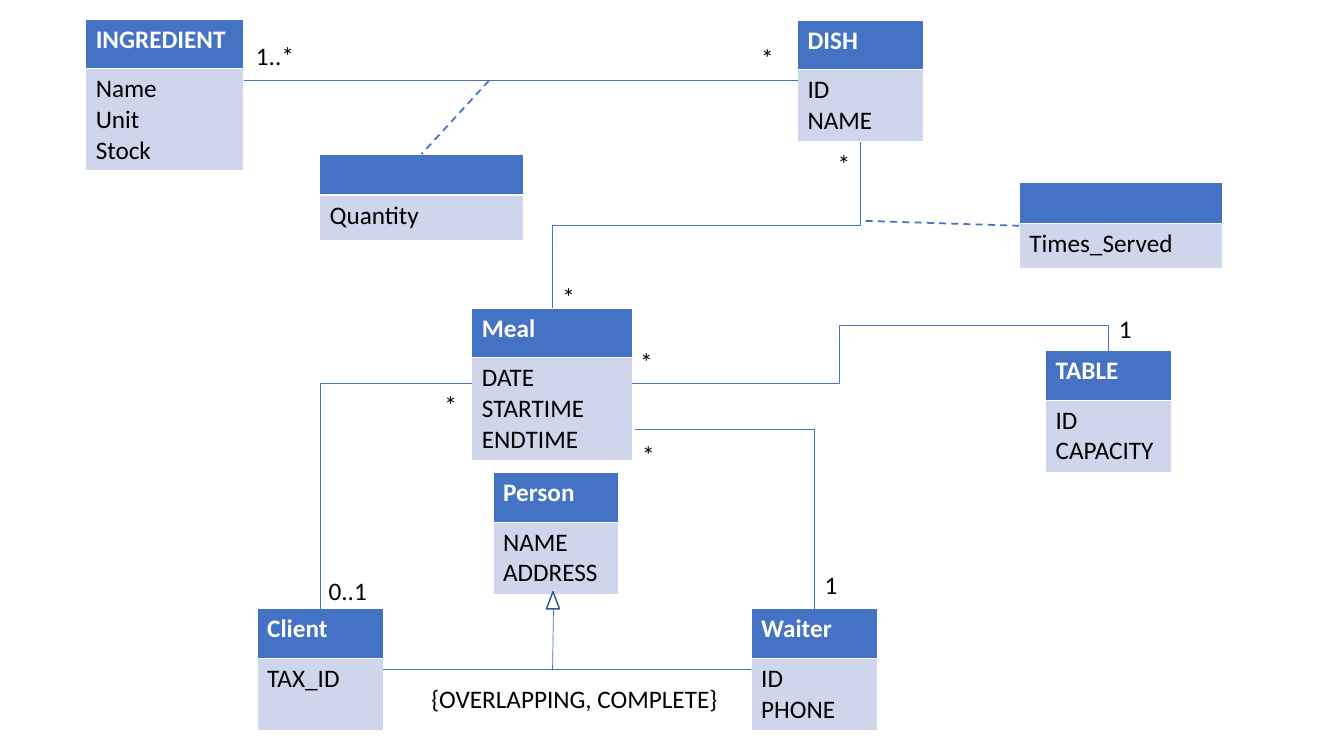
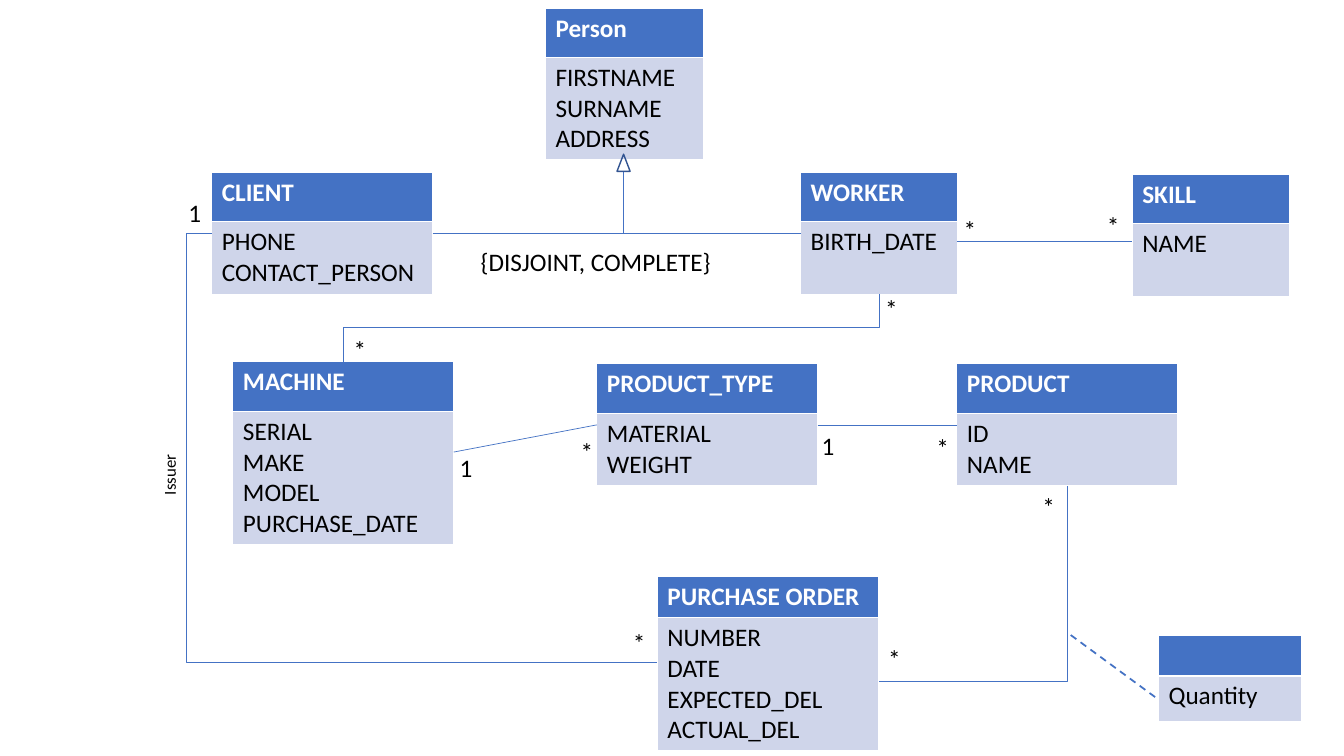
from enum import IntEnum

from lxml import etree
from pptx import Presentation
from pptx.dml.color import RGBColor
from pptx.enum.dml import MSO_LINE
from pptx.enum.shapes import MSO_CONNECTOR, MSO_SHAPE
from pptx.enum.text import MSO_AUTO_SIZE
from pptx.oxml.ns import qn
from pptx.util import Inches, Pt

COLORS = {
    "header": "4472C4",
    "body": "CFD5EA",
    "line": "4472C4",
    "triangle": "325491",
    "text": "000000",
    "header_text": "FFFFFF",
}
FONT = "Calibri"
HEADER_HEIGHT = 0.49
SLIM_HEADER = 0.4


class Side(IntEnum):
    """Connection sites of a table, by index."""
    TOP = 0
    LEFT = 1
    BOTTOM = 2
    RIGHT = 3


def color(name):
    return RGBColor.from_string(COLORS[name])


def side_point(table, side):
    """Middle of one side of a table, in inches."""
    x, y = table.left.inches, table.top.inches
    width, height = table.width.inches, table.height.inches
    return {
        Side.TOP: (x + width / 2, y),
        Side.LEFT: (x, y + height / 2),
        Side.BOTTOM: (x + width / 2, y + height),
        Side.RIGHT: (x + width, y + height / 2),
    }[side]


class Diagram:
    """Class diagram style together with the slide being drawn."""

    def __init__(self, deck):
        self.deck = deck
        self.page = None

    def new_page(self):
        self.page = self.deck.slides.add_slide(self.deck.slide_layouts[6])

    def add_text(self, para, text, color_name="text", size=18, bold=False):
        for number, line in enumerate(text.split("\n")):
            if number:
                para.add_line_break()
            span = para.add_run()
            span.text = line
            span.font.name = FONT
            span.font.size = Pt(size)
            span.font.bold = bold
            span.font.color.rgb = color(color_name)

    def entity(self, left, top, width, height, name, fields, header=HEADER_HEIGHT):
        """Two-row table: class name above its fields."""
        frame = self.page.shapes.add_table(
            2, 1, Inches(left), Inches(top), Inches(width), Inches(height))
        table = frame.table
        table.rows[0].height = Inches(header)
        table.rows[1].height = Inches(height - header)
        rows = ((name, "header", "header_text", True), (fields, "body", "text", False))
        for row, (text, fill, text_color, bold) in enumerate(rows):
            cell = table.cell(row, 0)
            cell.fill.solid()
            cell.fill.fore_color.rgb = color(fill)
            if text:
                self.add_text(cell.text_frame.paragraphs[0], text, text_color, bold=bold)
        return frame

    def label(self, left, top, text, width=0.33, height=0.4, size=18, rotation=0):
        box = self.page.shapes.add_textbox(
            Inches(left), Inches(top), Inches(width), Inches(height))
        box.rotation = rotation
        box.text_frame.word_wrap = True
        box.text_frame.auto_size = MSO_AUTO_SIZE.SHAPE_TO_FIT_TEXT
        self.add_text(box.text_frame.paragraphs[0], text, size=size)

    def link(self, begin, end, dashed=False):
        """Straight line; each end is a point or a (table, side) pair."""
        self.connect(MSO_CONNECTOR.STRAIGHT, begin, end, dashed=dashed)

    def elbow(self, begin, end, *bends):
        """Right-angled line from a (table, side) pair.

        Bends are the coordinates where it turns, along alternating axes.
        """
        upright = begin[1] in (Side.TOP, Side.BOTTOM)
        connector = self.connect(MSO_CONNECTOR.ELBOW, begin, end, upright)
        if upright:
            connector._element.spPr.find(qn("a:xfrm")).set("rot", "5400000")

        start, stop = side_point(*begin), self.point(end)
        geometry = connector._element.spPr.find(qn("a:prstGeom"))
        geometry.set("prst", f"bentConnector{len(bends) + 2}")
        adjustments = geometry.find(qn("a:avLst"))
        if adjustments is None:
            adjustments = etree.SubElement(geometry, qn("a:avLst"))
        for number, bend in enumerate(bends):
            axis = (number + upright) % 2
            share = (bend - start[axis]) / (stop[axis] - start[axis])
            guide = etree.SubElement(adjustments, qn("a:gd"))
            guide.set("name", f"adj{number + 1}")
            guide.set("fmla", f"val {round(share * 100000)}")

    def point(self, place):
        return side_point(*place) if isinstance(place[1], Side) else place

    def connect(self, kind, begin, end, upright=False, dashed=False):
        (x1, y1), (x2, y2) = self.point(begin), self.point(end)
        if upright:
            # Ends before the quarter turn about the shared centre.
            center_x, center_y = (x1 + x2) / 2, (y1 + y2) / 2
            half_x, half_y = (y2 - y1) / 2, (x1 - x2) / 2
            x1, y1 = center_x - half_x, center_y - half_y
            x2, y2 = center_x + half_x, center_y + half_y
        connector = self.page.shapes.add_connector(
            kind, Inches(x1), Inches(y1), Inches(x2), Inches(y2))
        for place, attach in ((begin, connector.begin_connect), (end, connector.end_connect)):
            if isinstance(place[1], Side):
                attach(place[0], int(place[1]))
        connector.begin_x, connector.begin_y = Inches(x1), Inches(y1)
        connector.end_x, connector.end_y = Inches(x2), Inches(y2)
        connector.line.color.rgb = color("line")
        connector.line.width = Pt(1.25 if dashed else 0.5)
        if dashed:
            connector.line.dash_style = MSO_LINE.DASH
        etree.SubElement(connector._element.spPr, qn("a:effectLst"))
        return connector

    def inheritance(self, left, top, start, end):
        """Hollow triangle with the stem that leads to it."""
        self.link(start, end)
        triangle = self.page.shapes.add_shape(
            MSO_SHAPE.ISOSCELES_TRIANGLE,
            Inches(left), Inches(top), Inches(0.13), Inches(0.17))
        triangle.shadow.inherit = False
        triangle.fill.background()
        triangle.line.color.rgb = color("triangle")
        triangle.line.width = Pt(1)


def draw_restaurant(diagram):
    diagram.new_page()
    diagram.entity(0.85, 0.19, 1.57, 1.49, "INGREDIENT", "Name\nUnit\nStock")
    dish = diagram.entity(7.91, 0.2, 1.25, 1.21, "DISH", "ID\nNAME")
    table = diagram.entity(10.37, 3.48, 1.25, 1.21, "TABLE", "ID\nCAPACITY")
    meal = diagram.entity(4.68, 3.06, 1.59, 1.49, "Meal", "DATE\nSTARTIME\nENDTIME")
    diagram.entity(4.89, 4.69, 1.25, 1.21, "Person", "NAME\nADDRESS")
    client = diagram.entity(2.55, 6.04, 1.25, 1.21, "Client", "TAX_ID")
    waiter = diagram.entity(7.45, 6.04, 1.25, 1.21, "Waiter", "ID\nPHONE")
    diagram.entity(10.11, 1.81, 2.02, 0.85, "", "Times_Served", SLIM_HEADER)
    diagram.entity(3.17, 1.53, 2.02, 0.85, "", "Quantity", SLIM_HEADER)

    diagram.link((2.42, 0.8), (7.91, 0.8))
    diagram.link((client, Side.RIGHT), (waiter, Side.LEFT))
    diagram.link((4.85, 0.8), (4.18, 1.53), dashed=True)
    diagram.link((10.11, 2.24), (8.54, 2.19), dashed=True)
    diagram.elbow((waiter, Side.TOP), (6.3, 4.26), 4.26)
    diagram.elbow((dish, Side.BOTTOM), (meal, Side.TOP), 2.24)
    diagram.elbow((table, Side.TOP), (meal, Side.RIGHT), 3.23, 8.32)
    diagram.elbow((client, Side.TOP), (meal, Side.LEFT))
    diagram.inheritance(5.42, 5.87, (5.48, 6.65), (5.49, 6.04))

    for left, top, text in (
        (8.08, 5.6, "1"), (7.45, 0.37, "*"), (5.48, 2.74, "*"), (8.21, 1.42, "*"),
        (11, 3.06, "1"), (6.25, 3.39, "*"), (6.27, 4.31, "*"), (4.31, 3.81, "*"),
    ):
        diagram.label(left, top, text)
    diagram.label(3.16, 5.66, "0..1", width=0.65)
    diagram.label(2.44, 0.35, "1..*", width=0.65)
    diagram.label(4.18, 6.73, "{OVERLAPPING, COMPLETE}", width=3.1)


def draw_factory(diagram):
    diagram.new_page()
    diagram.entity(5.41, 0.08, 1.57, 1.49, "Person", "FIRSTNAME\nSURNAME\nADDRESS")
    client = diagram.entity(2.1, 1.71, 2.19, 1.21, "CLIENT", "PHONE\nCONTACT_PERSON")
    worker = diagram.entity(7.94, 1.71, 1.56, 1.21, "WORKER", "BIRTH_DATE")
    diagram.entity(11.23, 1.73, 1.56, 1.21, "SKILL", "NAME")
    machine = diagram.entity(
        2.31, 3.59, 2.19, 1.79, "MACHINE", "SERIAL\nMAKE\nMODEL\nPURCHASE_DATE")
    product_type = diagram.entity(
        5.92, 3.61, 2.19, 1.21, "PRODUCT_TYPE", "MATERIAL\nWEIGHT")
    product = diagram.entity(9.49, 3.61, 2.19, 1.21, "PRODUCT", "ID\nNAME")
    order = diagram.entity(
        6.52, 5.72, 2.19, 1.7, "PURCHASE ORDER",
        "NUMBER\nDATE\nEXPECTED_DEL\nACTUAL_DEL", SLIM_HEADER)
    diagram.entity(11.49, 6.3, 1.42, 0.85, "", "Quantity", SLIM_HEADER)

    diagram.link((client, Side.RIGHT), (worker, Side.LEFT))
    diagram.link((9.49, 2.39), (11.23, 2.39))
    diagram.link((product_type, Side.RIGHT), (product, Side.LEFT))
    diagram.link((machine, Side.RIGHT), (product_type, Side.LEFT))
    diagram.link((10.62, 6.3), (11.49, 6.94), dashed=True)
    diagram.elbow((product, Side.BOTTOM), (8.72, 6.76), 6.76)
    diagram.elbow((client, Side.LEFT), (order, Side.LEFT), 1.85)
    diagram.elbow((machine, Side.TOP), (worker, Side.BOTTOM), 3.25)
    diagram.inheritance(6.12, 1.53, (6.18, 2.31), (6.18, 1.71))

    for left, top, text in (
        (4.46, 4.44, "1"), (8.71, 6.33, "*"), (10.24, 4.83, "*"), (6.18, 6.17, "*"),
        (1.77, 1.91, "1"), (9.46, 2.08, "*"), (10.88, 2.04, "*"), (8.68, 2.86, "*"),
        (3.41, 3.27, "*"), (9.19, 4.24, "*"), (5.66, 4.28, "*"), (8.05, 4.22, "1"),
    ):
        diagram.label(left, top, text)
    diagram.label(4.67, 2.39, "{DISJOINT, COMPLETE}", width=3.1)
    diagram.label(0.91, 4.09, "Issuer", width=1.54, height=0.3, size=12, rotation=270)


def main():
    deck = Presentation()
    deck.slide_width, deck.slide_height = Inches(13.33), Inches(7.5)
    diagram = Diagram(deck)
    draw_restaurant(diagram)
    draw_factory(diagram)
    deck.save("out.pptx")


if __name__ == "__main__":
    main()
